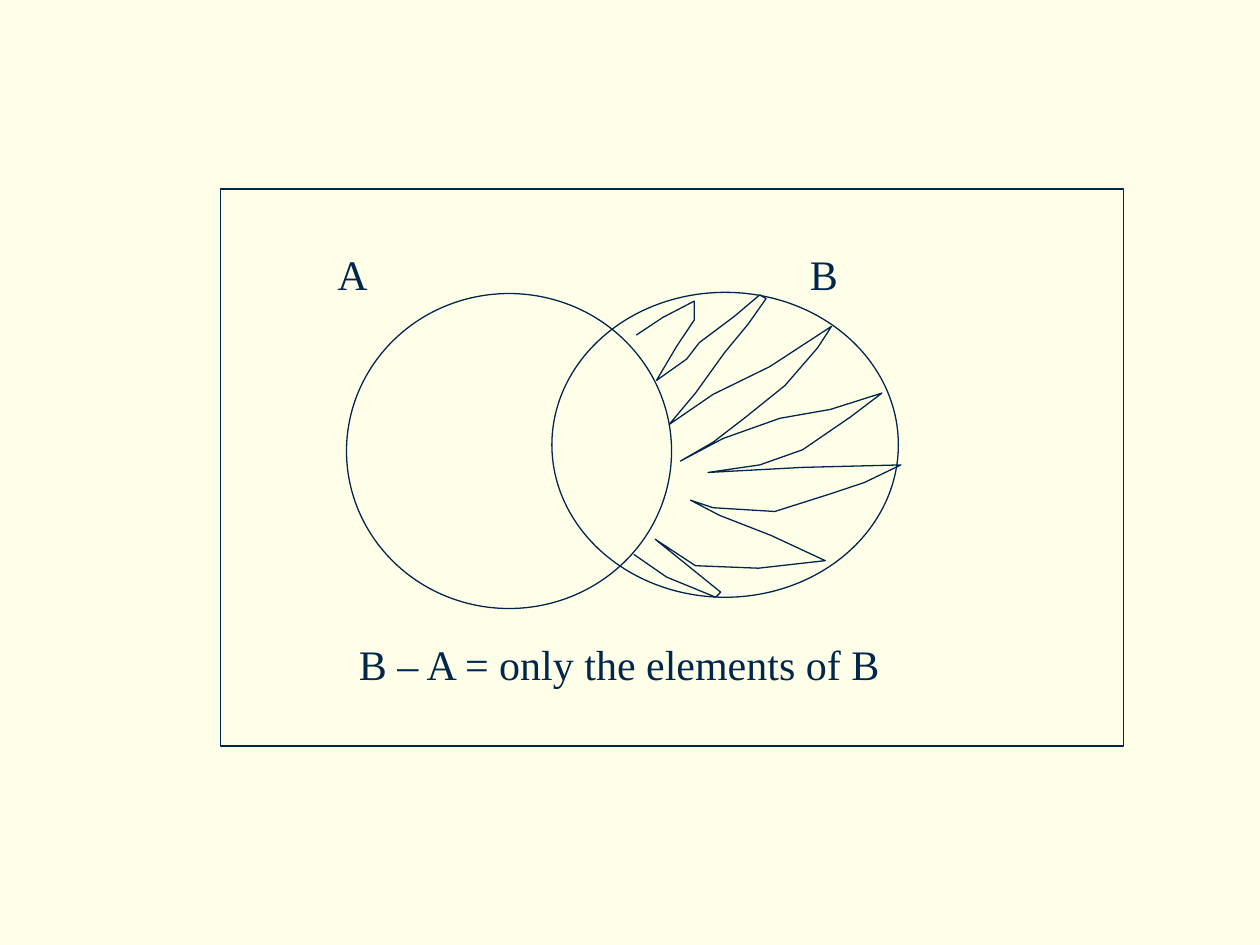
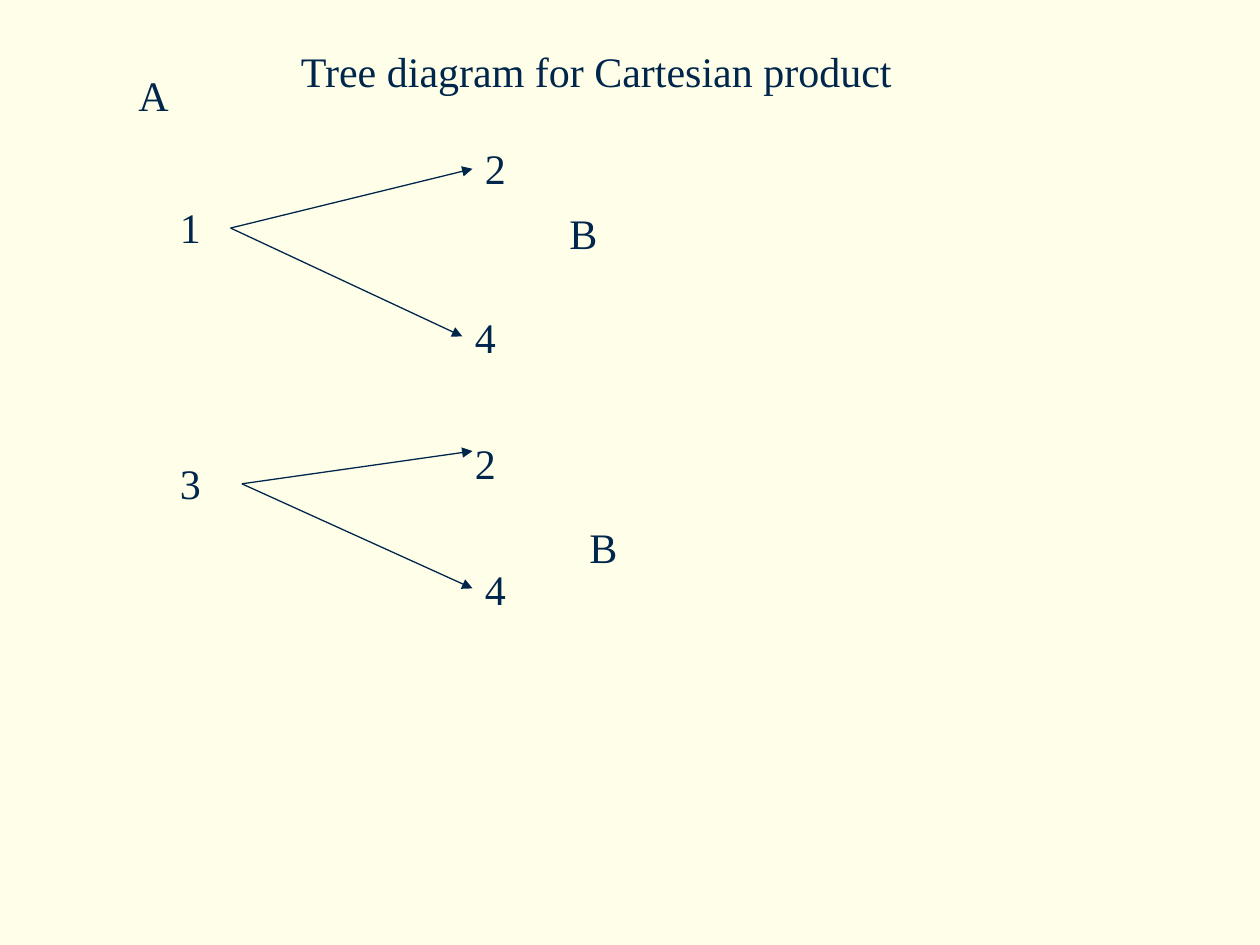
import pptx
import pptx.util
import pptx.dml.color
import pptx.enum.shapes
import pptx.enum.text
import pptx.oxml

Inches, Pt = pptx.util.Inches, pptx.util.Pt
Shape = pptx.enum.shapes.MSO_SHAPE
COLORS = {"background": "FFFFE9", "ink": "00264C"}
INK = pptx.dml.color.RGBColor.from_string(COLORS["ink"])
FONT = "Times New Roman"
DRAWING_NS = 'xmlns:a="http://schemas.openxmlformats.org/drawingml/2006/main"'


def add_label(page, text, left, top, width):
    box = page.shapes.add_textbox(Inches(left), Inches(top), Inches(width), Inches(0.51))
    frame = box.text_frame
    frame.word_wrap = True
    frame.auto_size = pptx.enum.text.MSO_AUTO_SIZE.SHAPE_TO_FIT_TEXT
    frame.text = text
    font = frame.paragraphs[0].runs[0].font
    font.name, font.size = FONT, Pt(24)
    font.color.rgb = INK


def draw_outline(shape):
    """Thin ink line, no fill, no shadow."""
    shape.shadow.inherit = False
    shape.fill.background()
    shape.line.color.rgb = INK
    shape.line.width = Pt(0.75)


deck = pptx.Presentation()
deck.slide_width, deck.slide_height = Inches(10), Inches(7.5)
background = deck.slide_master.background.fill
background.solid()
background.fore_color.rgb = pptx.dml.color.RGBColor.from_string(COLORS["background"])
blank = deck.slide_layouts[6]

# Slide 1: Venn diagram of the difference B – A
venn = deck.slides.add_slide(blank)
for kind, left, top, width, height in [
    (Shape.RECTANGLE, 1.75, 1.5, 7.17, 4.42),
    (Shape.OVAL, 2.75, 2.33, 2.58, 2.5),
    (Shape.OVAL, 4.38, 2.32, 2.75, 2.42),
]:
    draw_outline(venn.shapes.add_shape(
        kind, Inches(left), Inches(top), Inches(width), Inches(height)))

add_label(venn, "B – A = only the elements of B", 2.75, 5.02, 5)
add_label(venn, "A", 2.58, 1.92, 1.08)
add_label(venn, "B", 6.33, 1.92, 1.08)

# Zigzag hatching of B outside A, in hundredths of an inch
hatching = [
    (505, 266), (526, 252), (551, 239), (551, 254), (537, 275), (521, 302),
    (545, 285), (555, 272), (583, 251), (603, 234), (608, 237), (594, 257),
    (575, 280), (552, 312), (531, 337), (566, 313), (611, 291), (660, 259),
    (649, 276), (623, 306), (592, 331), (566, 351), (540, 366), (574, 348),
    (619, 332), (659, 325), (700, 312), (675, 331), (637, 357), (603, 369),
    (562, 375), (637, 371), (715, 369), (686, 383), (659, 392), (615, 406),
    (566, 403), (548, 397), (571, 409), (612, 425), (655, 445), (602, 451),
    (552, 449), (520, 428), (546, 449), (572, 470), (568, 474), (529, 458),
    (503, 440),
]
scribble = venn.shapes.build_freeform(*hatching[0], scale=Inches(0.01))
scribble.add_line_segments(hatching[1:], close=False)
draw_outline(scribble.convert_to_shape())

# Slide 2: tree diagram, each element of A branching to the elements of B
tree = deck.slides.add_slide(blank)
for text, left, top, width in [
    ("1", 1.33, 1.55, 0.5),
    ("3", 1.33, 3.58, 0.58),
    ("2", 3.75, 1.08, 0.33),
    ("4", 3.67, 2.42, 0.58),
    ("2", 3.67, 3.42, 0.67),
    ("4", 3.75, 4.42, 0.5),
    ("A", 1, 0.5, 1.33),
    ("B", 4.42, 1.6, 0.92),
    ("B", 4.58, 4.09, 1),
    ("Tree diagram for Cartesian product", 2.29, 0.31, 5.58),
]:
    add_label(tree, text, left, top, width)

branches = {
    (1.83, 1.81): [(3.75, 1.34), (3.67, 2.67)],
    (1.92, 3.84): [(3.75, 3.58), (3.75, 4.67)],
}
for start, tips in branches.items():
    for tip in tips:
        arrow = tree.shapes.add_connector(
            pptx.enum.shapes.MSO_CONNECTOR.STRAIGHT, *map(Inches, start + tip))
        arrow.line.color.rgb = INK
        arrow.line.width = Pt(0.75)
        arrow.line._get_or_add_ln().append(
            pptx.oxml.parse_xml(f'<a:tailEnd {DRAWING_NS} type="triangle"/>'))
        arrow._element.spPr.append(pptx.oxml.parse_xml(f"<a:effectLst {DRAWING_NS}/>"))

deck.save("out.pptx")
